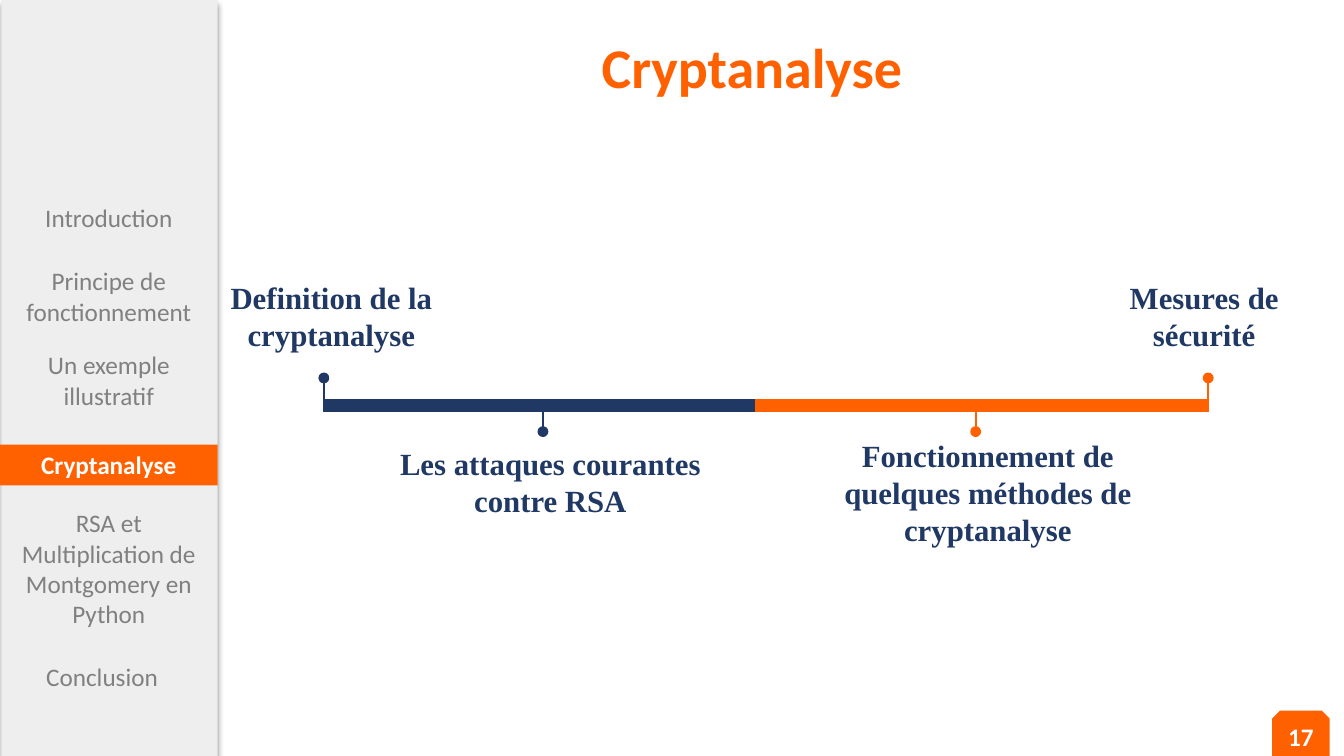
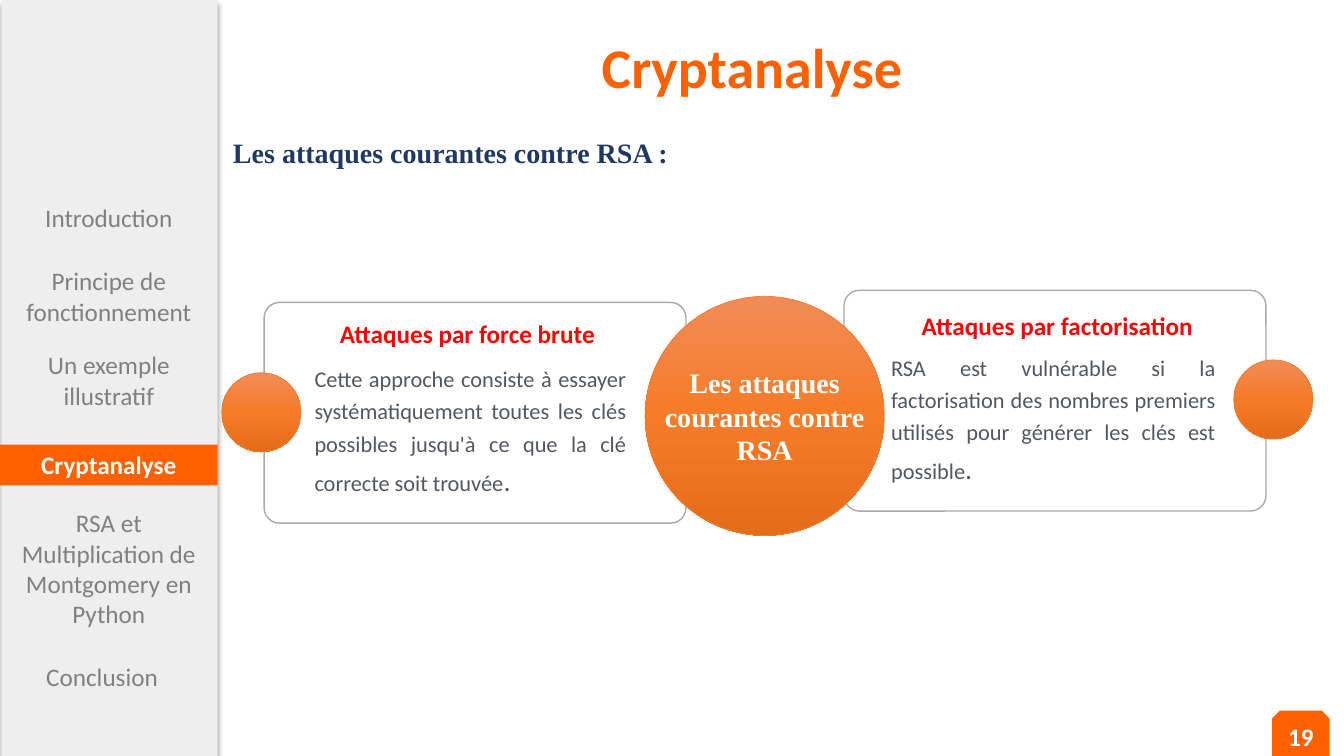
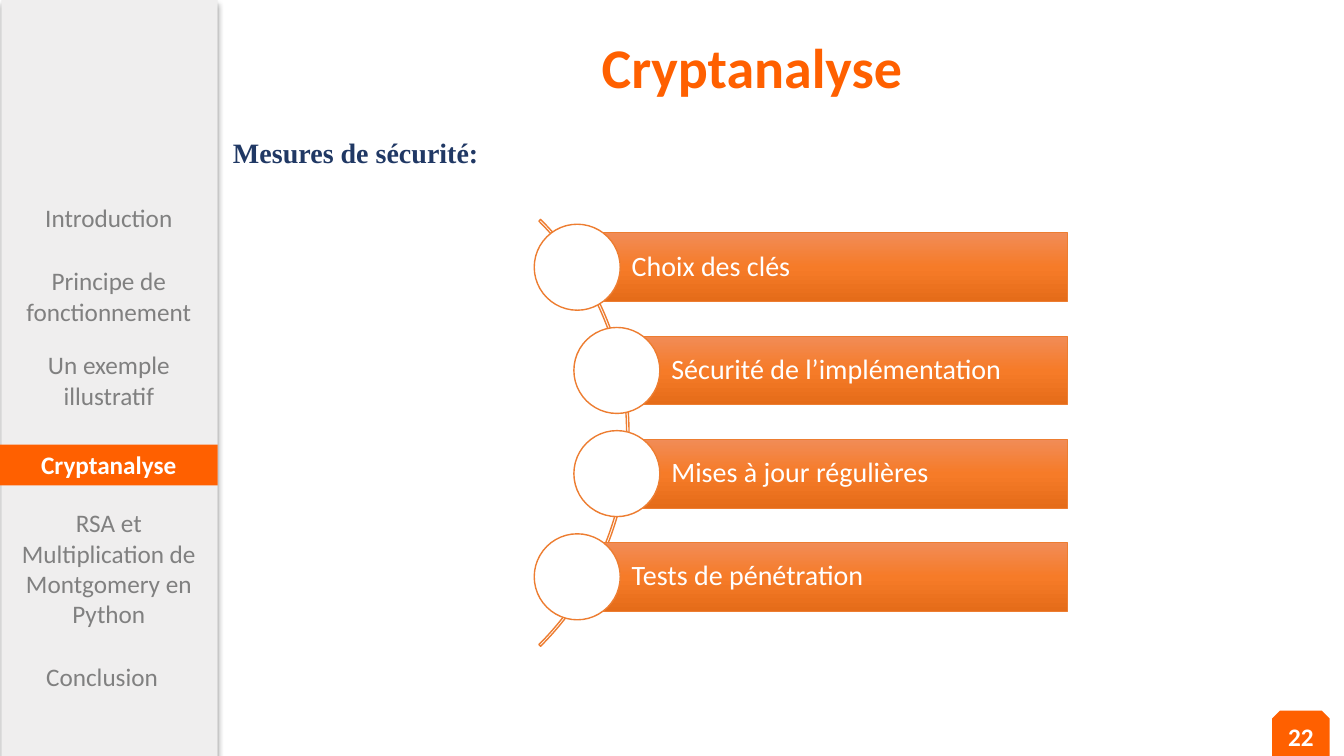
from copy import deepcopy

from lxml import etree
from pptx import Presentation
from pptx.dml.color import RGBColor
from pptx.enum.shapes import MSO_CONNECTOR, MSO_SHAPE
from pptx.enum.text import MSO_ANCHOR, PP_ALIGN
from pptx.oxml.ns import qn
from pptx.util import Inches, Pt

RECT, ROUNDED, OVAL = MSO_SHAPE.RECTANGLE, MSO_SHAPE.ROUNDED_RECTANGLE, MSO_SHAPE.OVAL
BADGE, ARC = MSO_SHAPE.SNIP_2_SAME_RECTANGLE, MSO_SHAPE.BLOCK_ARC
LEFT, CENTER, RIGHT, JUSTIFY = PP_ALIGN.LEFT, PP_ALIGN.CENTER, PP_ALIGN.RIGHT, PP_ALIGN.JUSTIFY
TOP, MIDDLE = MSO_ANCHOR.TOP, MSO_ANCHOR.MIDDLE
STRAIGHT = MSO_CONNECTOR.STRAIGHT

ORANGE, NAVY, WHITE, RED = "FF6000", "203864", "FFFFFF", "FF0000"
PANEL, MENU_GREY, BODY_GREY, CARD_LINE = "EFEEEE", "808080", "53585F", "A6AAA9"
RIM = "ED7D31"
GLOW = ("F18C57", "F67B28", "E56C19")  # gradient, top to bottom
SANS, SERIF = "Calibri", "Times New Roman"

prs = Presentation()
prs.slide_width, prs.slide_height = Inches(40 / 3), Inches(7.5)
COL, ROW = prs.slide_width / 100, prs.slide_height / 100  # grid of 100 x 100
ROUND = 16 / 9  # rows per column in a circle


def box(s, kind, x, y, w, h, fill=None, line=None, width=0.75):
    """Add a preset shape, or a text box when kind is None; lengths in grid units."""
    at = [int(v) for v in (x * COL, y * ROW, w * COL, h * ROW)]
    if kind is None:
        return s.shapes.add_textbox(*at)
    sp = s.shapes.add_shape(kind, *at)
    sp.shadow.inherit = False
    if fill is None:
        sp.fill.background()
    elif fill == GLOW:
        sp.fill.gradient()
        sp.fill.gradient_angle = 270
        stops = sp._element.spPr.find(".//" + qn("a:gsLst"))
        stops.insert(1, deepcopy(stops[0]))
        for i, stop in enumerate(sp.fill.gradient_stops):
            stop.position = i / 2
            stop.color.rgb = RGBColor.from_string(GLOW[i])
    else:
        sp.fill.solid()
        sp.fill.fore_color.rgb = RGBColor.from_string(fill)
    if line is None:
        sp.line.fill.background()
    else:
        sp.line.color.rgb = RGBColor.from_string(line)
        sp.line.width = Pt(width)
    return sp


def write(sp, text, size, color, font=SANS, bold=False, align=CENTER, anchor=TOP,
          ins=(0.1, 0.05, 0.1, 0.05), spacing=1.0):
    """Fill a shape with one formatted paragraph and return its run."""
    tf = sp.text_frame
    tf.text = text
    tf.word_wrap = True
    tf.vertical_anchor = anchor
    tf.margin_left, tf.margin_top, tf.margin_right, tf.margin_bottom = map(Inches, ins)
    p = tf.paragraphs[0]
    p.alignment, p.line_spacing = align, spacing
    r = p.runs[0]
    r.font.size, r.font.name, r.font.bold = Pt(size), font, bold
    r.font.color.rgb = RGBColor.from_string(color)
    return r


# Shared parts: side menu, title, subtitle, page badge
MENU = [  # label, top, height, width
    ("Introduction", 26.1, 5.4, 16.2),
    ("Principe de fonctionnement", 34.5, 9.4, 16.2),
    ("Un exemple illustratif", 45.6, 9.4, 16.2),
    ("Cryptanalyse", 58.8, 5.4, 16.2),
    ("RSA et Multiplication de Montgomery en Python", 66.5, 17.5, 16.2),
    ("Conclusion", 86.8, 5.4, 15.2),
]
PAGES = [("17", None), ("19", "Les attaques courantes contre RSA :"),
         ("22", "Mesures de sécurité:")]
TITLE = "Cryptanalyse"
slides = []
for number, subtitle in PAGES:
    s = prs.slides.add_slide(prs.slide_layouts[6])
    slides.append(s)
    sp = box(s, RECT, 0.1, 0, 16.1, 100, PANEL)
    effects = sp._element.spPr.find(qn("a:effectLst"))
    shadow = etree.SubElement(effects, qn("a:outerShdw"), blurRad=str(Pt(4)),
                              dist=str(Pt(3)), dir="5400000", rotWithShape="0")
    black = etree.SubElement(shadow, qn("a:srgbClr"), val="000000")
    etree.SubElement(black, qn("a:alpha"), val="40000")

    for label, top, height, width in MENU:
        active = label == TITLE
        sp = box(s, RECT if active else None, 0, top, width, height, ORANGE)
        write(sp, label, 18, WHITE if active else MENU_GREY, bold=active)

    write(box(s, None, 27.9, 3.3, 56.1, 10.8), TITLE, 40, ORANGE, bold=True,
          ins=(0.13, 0.07, 0.13, 0.07))
    if subtitle:
        write(box(s, None, 16.6, 17.3, 63.3, 5.9), subtitle, 20, NAVY, SERIF, True, LEFT)
    write(box(s, BADGE, 94.65, 94, 4.28, 6.2, ORANGE), number, 18, WHITE, bold=True,
          anchor=MIDDLE)

# Slide 1: timeline
s = slides[0]
BAR_TOP, BAR_H = 52.8, 1.6
DOT = 0.65
edges = [24.1, 40.4, 56.2, 72.6, 89.9]
for i, color in enumerate([NAVY, NAVY, ORANGE, ORANGE]):
    box(s, RECT, edges[i], BAR_TOP, edges[i + 1] - edges[i], BAR_H, color, color)

stages = [  # stem x, colour, stem above the bar, label, label box
    (edges[0], NAVY, True, "Definition de la cryptanalyse", (15.9, 35.5, 17.5, 11.9)),
    (edges[1], NAVY, False, "Les attaques courantes contre RSA", (29, 57.5, 23.9, 11.9)),
    (edges[3], ORANGE, False, "Fonctionnement de quelques méthodes de cryptanalyse",
     (59.7, 56.5, 27.6, 13.7)),
    (edges[4], ORANGE, True, "Mesures de sécurité", (82.2, 35.5, 14.8, 11.9)),
]
for x, color, above, label, place in stages:
    start, end = (BAR_TOP + BAR_H, 50) if above else (BAR_TOP, 57.1)
    stem = s.shapes.add_connector(STRAIGHT, int(x * COL), int(start * ROW),
                                  int(x * COL), int(end * ROW))
    stem.line.color.rgb = RGBColor.from_string(color)
    stem.line.width = Pt(1.5)
    etree.SubElement(stem._element.spPr, qn("a:effectLst"))
    box(s, OVAL, x - DOT / 2, end - DOT * ROUND / 2, DOT, DOT * ROUND, color, color, 1.5)
    write(box(s, None, *place), label, 22, NAVY, SERIF, True, ins=(0.1,) * 4)

# Slide 2: two attack cards around a central disc
s = slides[1]
cards = [  # card corner, heading, heading box and alignment, body, body box
    (19.65, 40, "Attaques par force brute", (25.3, 39.3, 21.1, 8.8), LEFT, 1.2,
     "Cette approche consiste à essayer systématiquement toutes les clés possibles "
     "jusqu'à ce que la clé correcte soit trouvée", (23.4, 47.6, 23.2, 18.4)),
    (62.8, 38.4, "Attaques par factorisation", (66.75, 39.1, 22, 7.9), RIGHT, 1.0,
     "RSA est vulnérable si la factorisation des nombres premiers utilisés pour "
     "générer les clés est possible", (66.3, 46.1, 24.15, 18.1)),
]
for x, y, heading, head_at, align, spacing, body, body_at in cards:
    box(s, ROUNDED, x, y, 31.4, 29.2, line=CARD_LINE, width=1).adjustments[0] = 0.07
    write(box(s, None, *head_at), heading, 18, RED, SANS, True, align, MIDDLE,
          (0,) * 4, spacing)
    sp = box(s, None, *body_at)
    write(sp, body, 16, BODY_GREY, align=JUSTIFY, ins=(0,) * 4, spacing=1.2)
    r = sp.text_frame.paragraphs[0].add_run()
    r.text = "."
    r.font.size, r.font.name = Pt(20), SANS
    r.font.color.rgb = RGBColor.from_string(BODY_GREY)

for x, y, d in [(16.5, 49.3, 5.9), (91.8, 47.6, 5.9), (48, 39.2, 17.8)]:
    box(s, OVAL, x, y, d, d * ROUND, GLOW, RIM, 0.5)
write(box(s, None, 48, 39.2, 17.8, 17.8 * ROUND), "Les attaques courantes contre RSA",
      20, WHITE, SERIF, True, anchor=MIDDLE, ins=(0.02,) * 4)

# Slide 3: measures along an arc
s = slides[2]
arc = box(s, ARC, 1.88, 17.33, 44.92, 44.92 * ROUND, line=RIM, width=1)
for i, value in enumerate([189, 27, 0.004]):
    arc.adjustments[i] = value

measures = ["Choix des clés", "Sécurité de l’implémentation", "Mises à jour régulières",
            "Tests de pénétration"]
BAR_H, PITCH, BAR_RIGHT, DISC = 9.1, 13.65, 79.4, 6.4
for i, measure in enumerate(measures):
    x = 45.9 if i in (1, 2) else 42.95
    y = 30.8 + i * PITCH
    write(box(s, RECT, x, y, BAR_RIGHT - x, BAR_H, GLOW, RIM, 0.5), measure, 20, WHITE,
          align=LEFT, anchor=MIDDLE, ins=(0.54, 0.06, 0.06, 0.06), spacing=0.9)
    box(s, OVAL, x - DISC / 2, y + (BAR_H - DISC * ROUND) / 2, DISC, DISC * ROUND,
        WHITE, RIM, 1)

prs.save("out.pptx")
